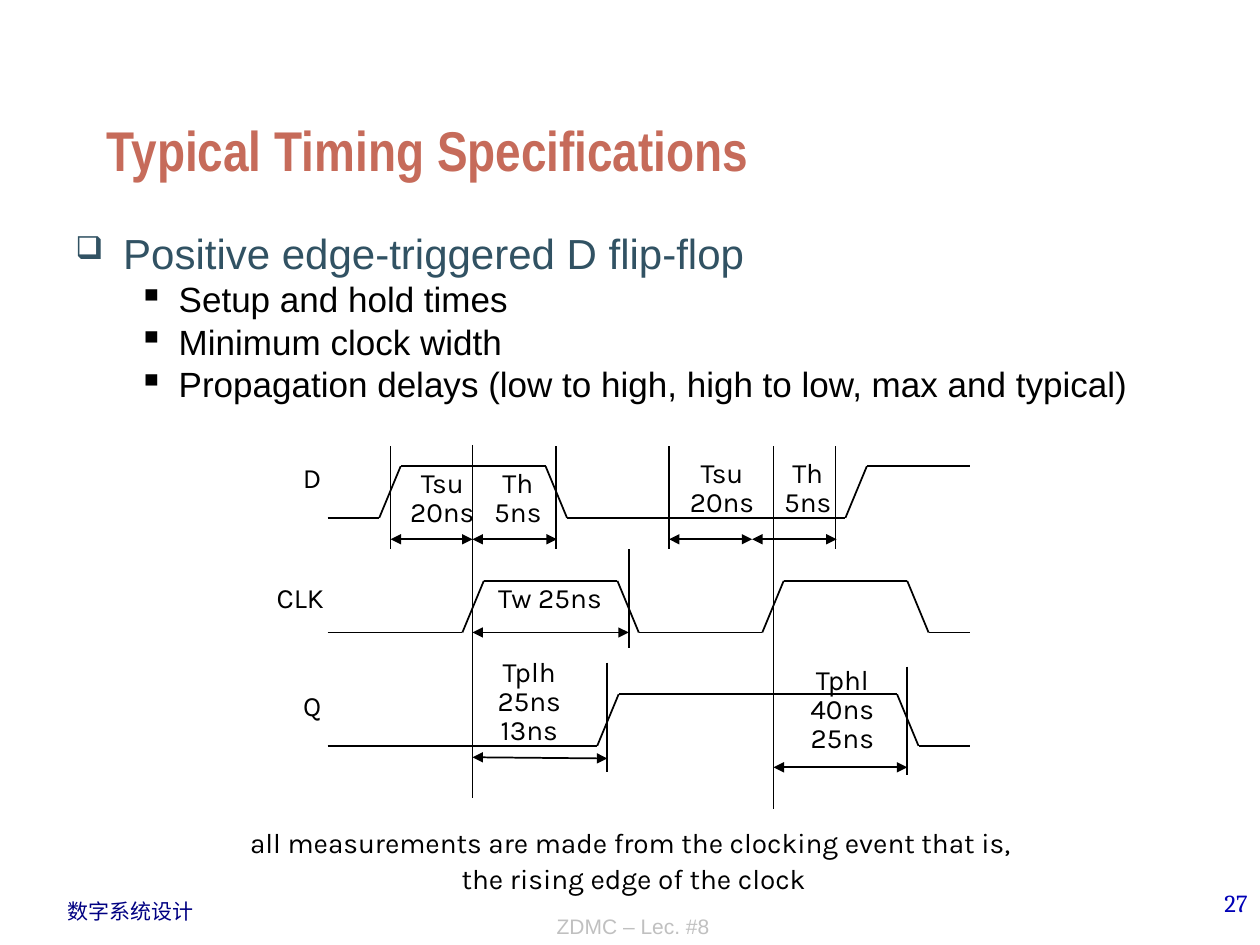
from dataclasses import dataclass
from itertools import pairwise

from lxml import etree
from pptx import Presentation
from pptx import util as u
from pptx.dml.color import RGBColor
from pptx.enum import shapes, text
from pptx.oxml.ns import qn

PX = 9144  # 100 px to the inch
RAMP = 17  # width of a signal edge
WAVE_LEFT, WAVE_RIGHT = 260, 770


@dataclass(frozen=True)
class Style:
    size: int
    font: str
    color: str
    bold: bool = False
    leading: float | None = None


THEME = {
    "title": Style(32, "Arial Narrow", "C66B5A", bold=True),
    "topic": Style(24, "Arial", "315263", leading=29),
    "point": Style(20, "Arial", "000000", leading=24.3),
    "label": Style(16, "Karla", "000000", leading=16.7),
    "caption": Style(16, "Karla", "000000", leading=20.8),
    "course": Style(12, "Arial", "000082"),
    "number": Style(14, "Cambria", "0000B6"),
    "lecture": Style(12, "Arial", "C0C0C0"),
}
LINE_COLOR, LINE_WIDTH = "000000", 1

LEFT, CENTER, RIGHT = text.PP_ALIGN.LEFT, text.PP_ALIGN.CENTER, text.PP_ALIGN.RIGHT
TOP, BOTTOM = text.MSO_ANCHOR.TOP, text.MSO_ANCHOR.BOTTOM

# Bullet settings: character, percent size, left indent, hanging indent
BULLETS = {"topic": ("❑", 75, 38, 38), "point": ("▪", 100, 82, 32)}
BODY = [
    ("topic", "Positive edge-triggered D flip-flop"),
    ("point", "Setup and hold times"),
    ("point", "Minimum clock width"),
    ("point", "Propagation delays (low to high, high to low, max and typical)"),
]

# Signals: first level, other level, where each edge starts
WAVES = {
    "D": (411, 370, (301, 433, 671)),
    "CLK": (502, 461, (367, 490, 605, 720)),
    "Q": (592, 551, (474, 712)),
}
SIGNAL_NAMES = [("D", 197, 366, 60), ("CLK", 174, 461, 85), ("Q", 194, 547, 63)]

# Vertical guides: x, top, bottom
GUIDES = [
    (375, 353, 633), (614, 354, 642),
    (310, 354, 436), (441, 354, 436), (531, 354, 436), (663, 354, 436),
    (499, 436, 514), (482, 526, 613), (720, 529, 615),
]
# Measured intervals: x1, y1, x2, y2
INTERVALS = [
    (310, 428, 375, 428), (375, 428, 442, 428),
    (531, 428, 597, 428), (597, 428, 664, 428),
    (375, 502, 499, 502), (375, 601, 482, 602), (614, 609, 720, 609),
]
TIMES = [
    ("Tsu\n20ns", 312, 370, 78, 63), ("Th\n5ns", 367, 370, 88, 86),
    ("Tsu\n20ns", 534, 362, 78, 63), ("Th\n5ns", 597, 362, 88, 86),
    ("Tw 25ns", 375, 461, 123, 63),
    ("Tplh\n25ns\n13ns", 374, 520, 92, 86),
    ("Tphl\n40ns\n25ns", 630, 526, 77, 86),
]


def set_all(target, values):
    for name, value in values.items():
        setattr(target, name, value)


def style_paragraph(paragraph, style, align=LEFT):
    paragraph.alignment = align
    if style.leading:
        paragraph.line_spacing = u.Pt(style.leading)
    for run in paragraph.runs:
        set_all(run.font, {"size": u.Pt(style.size), "name": style.font, "bold": style.bold})
        run.font.color.rgb = RGBColor.from_string(style.color)


def add_frame(parent, box, margins=(10, 5), wrap=True, anchor=TOP):
    frame = parent.shapes.add_textbox(*(value * PX for value in box)).text_frame
    side, edge = (margin * PX for margin in margins)
    set_all(frame, {
        "margin_left": side, "margin_right": side,
        "margin_top": edge, "margin_bottom": edge,
        "word_wrap": wrap, "vertical_anchor": anchor,
    })
    return frame


def add_text(parent, words, box, role, align=LEFT, **frame_options):
    frame = add_frame(parent, box, **frame_options)
    frame.text = words
    for paragraph in frame.paragraphs:
        style_paragraph(paragraph, THEME[role], align)


def add_label(parent, words, box, role="label", align=CENTER):
    add_text(parent, words, box, role, align, margins=(2, 3), wrap=False)


def add_bullet(paragraph, role):
    character, percent, indent, hanging = BULLETS[role]
    properties = paragraph._p.get_or_add_pPr()
    properties.set("marL", str(indent * PX))
    properties.set("indent", str(-hanging * PX))
    color = etree.SubElement(properties, qn("a:buClr"))
    etree.SubElement(color, qn("a:srgbClr"), val=THEME[role].color)
    etree.SubElement(properties, qn("a:buSzPct"), val=str(percent * 1000))
    etree.SubElement(properties, qn("a:buChar"), char=character)


def add_body(slide, items, box):
    frame = add_frame(slide, box)
    for index, (role, words) in enumerate(items):
        paragraph = frame.add_paragraph() if index else frame.paragraphs[0]
        add_bullet(paragraph, role)
        paragraph.level = int(role == "point")
        paragraph.add_run().text = words
        style_paragraph(paragraph, THEME[role])


def add_line(parent, start, end, arrows=False):
    points = (value * PX for value in (*start, *end))
    connector = parent.shapes.add_connector(shapes.MSO_CONNECTOR.STRAIGHT, *points)
    connector.line.width = u.Pt(LINE_WIDTH)
    connector.line.color.rgb = RGBColor.from_string(LINE_COLOR)
    if arrows:
        outline = connector.line._get_or_add_ln()
        for tag in ("a:headEnd", "a:tailEnd"):
            etree.SubElement(outline, qn(tag), type="triangle")
    etree.SubElement(connector._element.spPr, qn("a:effectLst"))


def add_wave(parent, level, other, edges):
    points = [(WAVE_LEFT, level)]
    for x in edges:
        points += [(x, level), (x + RAMP, other)]
        level, other = other, level
    points.append((WAVE_RIGHT, level))
    for start, end in pairwise(points):
        add_line(parent, start, end)


def add_timing_diagram(slide):
    diagram = slide.shapes.add_group_shape()
    for x, top, bottom in GUIDES:
        add_line(diagram, (x, top), (x, bottom))
    for wave in WAVES.values():
        add_wave(diagram, *wave)
    for x1, y1, x2, y2 in INTERVALS:
        add_line(diagram, (x1, y1), (x2, y2), arrows=True)
    for words, *box in TIMES:
        add_label(diagram, words, box)
    for words, left, top, width in SIGNAL_NAMES:
        add_label(diagram, words, (left, top, width, 37), align=RIGHT)


def main():
    presentation = Presentation()
    set_all(presentation, {"slide_width": 1000 * PX, "slide_height": 750 * PX})
    slide = presentation.slides.add_slide(presentation.slide_layouts[6])

    # Footer
    add_text(slide, "数字系统设计", (44, 708, 120, 30), "course", wrap=False)
    add_text(slide, "27", (792, 700, 208, 50), "number", RIGHT)
    add_text(slide, "ZDMC – Lec. #8", (259, 699, 487, 51), "lecture", CENTER, anchor=BOTTOM)

    # Title and bullets
    add_text(slide, "Typical Timing Specifications", (75, 25, 850, 125), "title", anchor=BOTTOM)
    add_body(slide, BODY, (50, 175, 903, 488))

    # Diagram and its caption
    add_timing_diagram(slide)
    add_label(
        slide,
        "all measurements are made from the clocking event that is, \nthe rising edge of the clock",
        (173, 650, 660, 71),
        "caption",
    )
    presentation.save("out.pptx")


if __name__ == "__main__":
    main()
